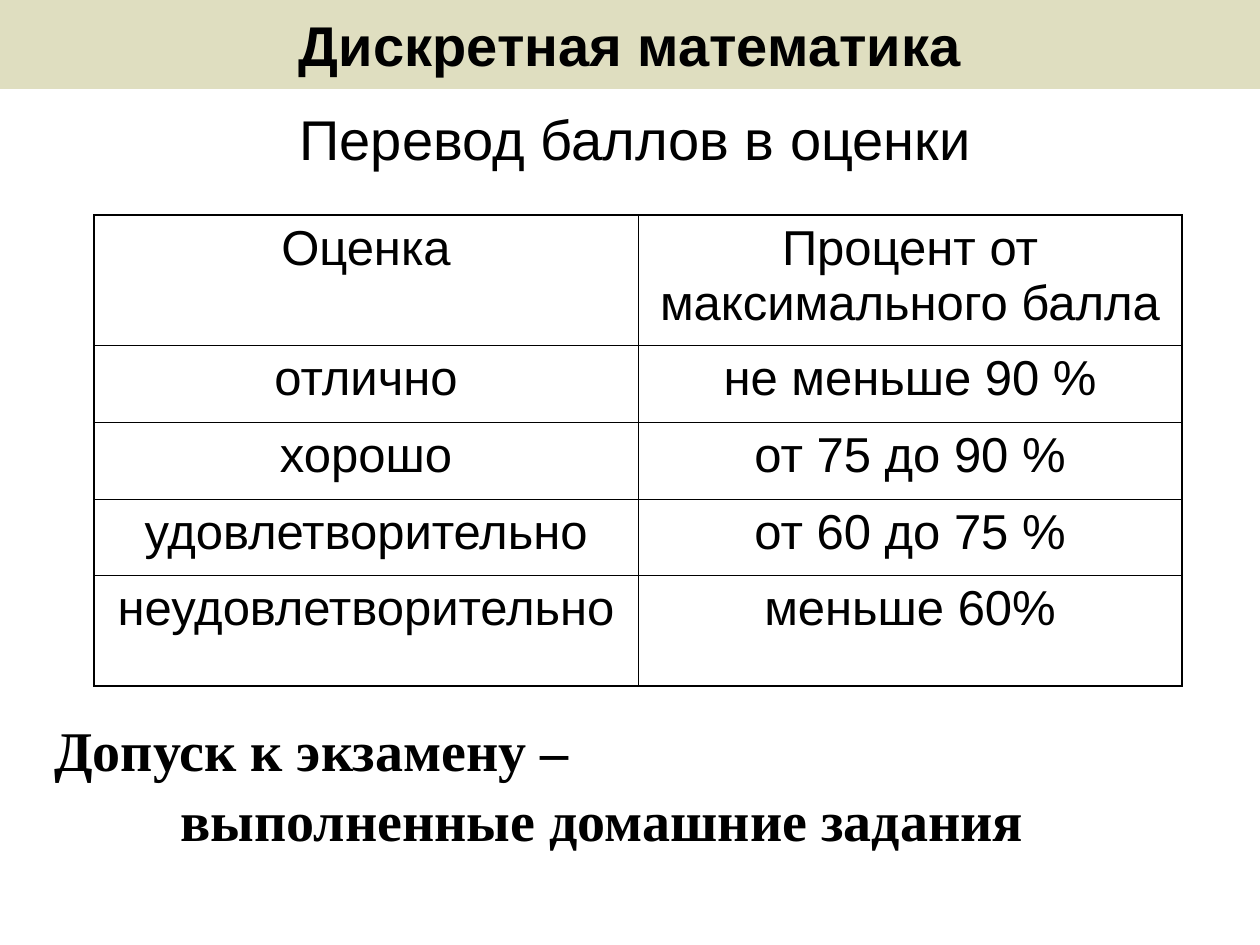
from lxml import etree
from pptx import Presentation
from pptx.dml.color import RGBColor
from pptx.enum.text import MSO_ANCHOR, PP_ALIGN
from pptx.oxml.ns import qn
from pptx.util import Emu, Pt

PX = 914400 // 126
BLACK = RGBColor(0, 0, 0)
SAND = RGBColor(0xDF, 0xDE, 0xC0)
LEFT, CENTER = PP_ALIGN.LEFT, PP_ALIGN.CENTER
TOP, MIDDLE = MSO_ANCHOR.TOP, MSO_ANCHOR.MIDDLE
SANS, SERIF = "Arial", "Times New Roman"
THIN, THICK = Pt(0.45), Pt(1.08)

GRADES = [
    ("Оценка", "Процент от максимального балла"),
    ("отлично", "не меньше 90 %"),
    ("хорошо", "от 75 до 90 %"),
    ("удовлетворительно", "от 60 до 75 %"),
    ("неудовлетворительно", "меньше 60%"),
]


def px(n):
    return Emu(n * PX)


def write(frame, text, size=32, font=SANS, bold=False, align=CENTER,
          anchor=TOP, before=0, indent=0):
    frame.word_wrap = True
    frame.vertical_anchor = anchor
    frame.text = text
    for i, para in enumerate(frame.paragraphs):
        para.alignment = align
        para.line_spacing = 1.0
        para.space_before = Pt(before)
        if i and indent:
            para._p.get_or_add_pPr().set("marL", str(px(indent)))
        style = para.runs[0].font
        style.size, style.name, style.bold = Pt(size), font, bold
        style.color.rgb = BLACK


def edge(cell, side, width):
    line = etree.SubElement(cell._tc.get_or_add_tcPr(), qn("a:ln" + side), w=str(width))
    fill = etree.SubElement(line, qn("a:solidFill"))
    etree.SubElement(fill, qn("a:srgbClr"), val=str(BLACK))


class Deck:
    def __init__(self, wide, high):
        self.show = Presentation()
        self.show.slide_width, self.show.slide_height = px(wide), px(high)
        self.slide = self.show.slides.add_slide(self.show.slide_layouts[5])

    def title(self, text, *box):
        shape = self.slide.shapes.title
        shape.left, shape.top, shape.width, shape.height = map(px, box)
        shape.fill.solid()
        shape.fill.fore_color.rgb = SAND
        write(shape.text_frame, text, bold=True, anchor=MIDDLE)

    def label(self, text, *box, **style):
        shape = self.slide.shapes.add_textbox(*map(px, box))
        write(shape.text_frame, text, **style)

    def table(self, data, x, y, width, rows):
        count = len(data[0])
        grid = self.slide.shapes.add_table(
            len(data), count, px(x), px(y), px(width), px(sum(rows))).table
        grid.first_row = grid.horz_banding = False
        for col in grid.columns:
            col.width = px(width // count)
        for r, (line, high) in enumerate(zip(data, rows)):
            grid.rows[r].height = px(high)
            for c, text in enumerate(line):
                cell = grid.cell(r, c)
                write(cell.text_frame, text, size=28, before=7)
                outer = {"L": c == 0, "R": c == count - 1,
                         "T": r == 0, "B": r == len(data) - 1}
                for side, rim in outer.items():
                    edge(cell, side, THICK if rim else THIN)
                cell.fill.background()


def main():
    deck = Deck(1260, 945)
    deck.title("Дискретная математика", 0, 0, 1260, 89)
    deck.table(GRADES, 94, 215, 1088, [130, 77, 77, 76, 111])
    deck.label("Допуск к экзамену –\nвыполненные домашние задания",
               42, 709, 1176, 147, font=SERIF, bold=True, align=LEFT,
               before=2, indent=126)
    deck.label("Перевод баллов в оценки", 138, 98, 995, 81)
    deck.show.save("out.pptx")


if __name__ == "__main__":
    main()
